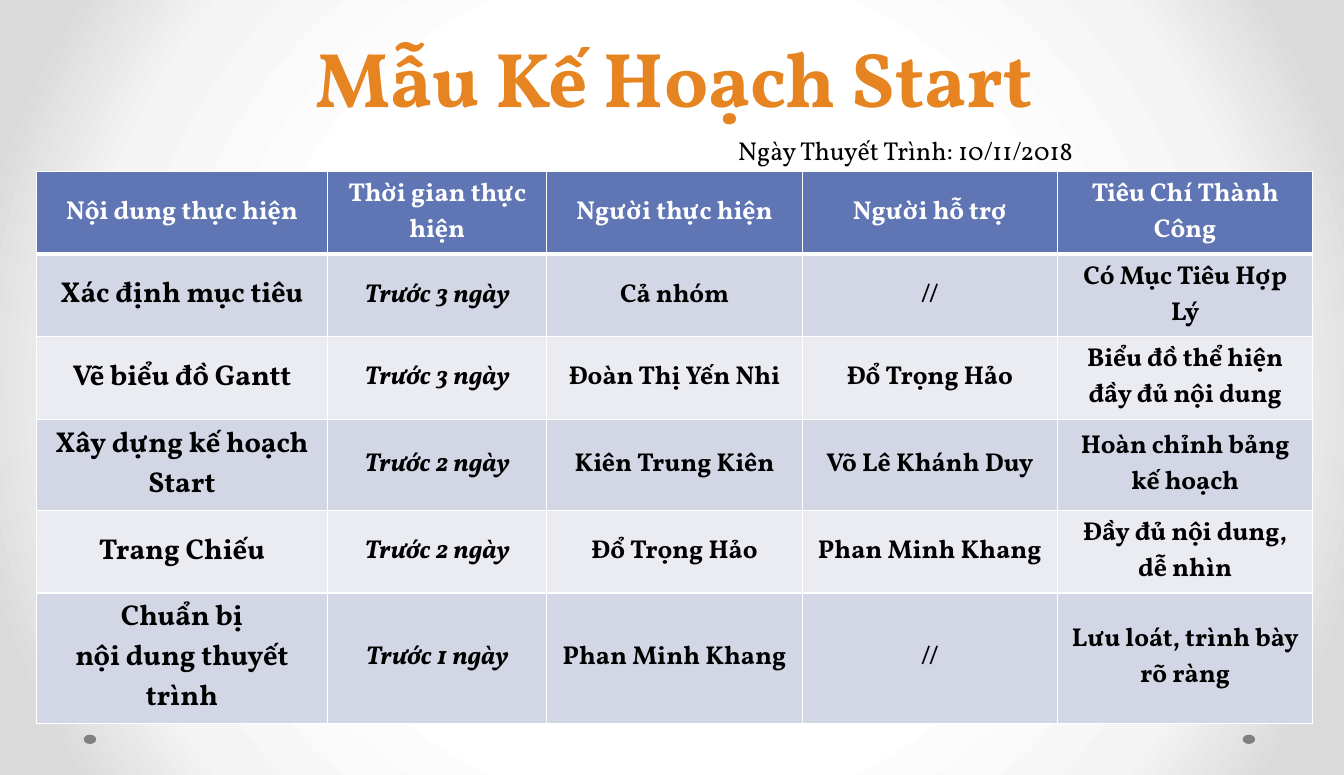
import pptx
import pptx.util
import pptx.dml.color
import pptx.enum.shapes
import pptx.enum.text
import pptx.oxml
import pptx.oxml.ns

Inches, Pt = pptx.util.Inches, pptx.util.Pt
ALIGN = pptx.enum.text.PP_ALIGN
FONT = "Vollkorn"
COLORS = {
    "white": "FFFFFF", "mist": "F4F4F4", "edge": "DADADA", "dot": "808080",
    "title": "E68422", "rim": "FEFEFE", "ink": "000000",
    "head": "6076B4", "odd": "D2D6E5", "even": "EAECF2",
}
WIDTHS = [2.82, 2.12, 2.47, 2.47, 2.47]
HEIGHTS = [0.8, 0.8, 0.8, 0.88, 0.8, 1.26]
ROWS = [
    ["Nội dung thực hiện", "Thời gian thực hiện", "Người thực hiện",
     "Người hỗ trợ", "Tiêu Chí Thành Công"],
    ["Xác định mục tiêu", "Trước 3 ngày", "Cả nhóm", "//",
     "Có Mục Tiêu Hợp Lý"],
    ["Vẽ biểu đồ Gantt", "Trước 3 ngày", "Đoàn Thị Yến Nhi",
     "Đổ Trọng Hảo", "Biểu đồ thể hiện đầy đủ nội dung"],
    ["Xây dựng kế hoạch Start", "Trước 2 ngày", "Kiên Trung Kiên",
     "Võ Lê Khánh Duy", "Hoàn chỉnh bảng kế hoạch"],
    ["Trang Chiếu", "Trước 2 ngày", "Đổ Trọng Hảo", "Phan Minh Khang",
     "Đầy đủ nội dung, dễ nhìn"],
    ["Chuẩn bị\nnội dung thuyết trình", "Trước 1 ngày", "Phan Minh Khang",
     "//", "Lưu loát, trình bày rõ ràng"],
]


def rgb(name):
    """Return the named colour."""
    return pptx.dml.color.RGBColor.from_string(COLORS[name])


def make(xml):
    """Build an element in the drawing namespace."""
    return pptx.oxml.parse_xml(xml.replace(
        ">", " " + pptx.oxml.ns.nsdecls("a") + ">", 1))


def line(tag, width, color):
    """Build a solid line element of the given width in points."""
    return make(f'<a:{tag} w="{Pt(width)}"><a:solidFill><a:srgbClr val='
                f'"{COLORS[color]}"/></a:solidFill></a:{tag}>')


def style(frame, size, color, align, bold=False, italic=False):
    """Set font and alignment on every paragraph."""
    for para in frame.paragraphs:
        para.alignment = align
        font = para.font
        font.name, font.size = FONT, Pt(size)
        font.bold, font.italic = bold, italic
        font.color.rgb = rgb(color)


def label(slide, box, text, size, color, align, bold=False, wrap=True):
    """Place a text box and return its frame."""
    shape = slide.shapes.add_textbox(*map(Inches, box))
    frame = shape.text_frame
    frame.text = text
    frame.word_wrap = wrap
    frame.auto_size = pptx.enum.text.MSO_AUTO_SIZE.SHAPE_TO_FIT_TEXT
    style(frame, size, color, align, bold)
    return frame


def backdrop(slide):
    """Fill the background with a round gradient."""
    fill = slide.background.fill
    fill.gradient()
    grad = slide.background._cSld.bg.bgPr[0]
    stops = "".join(
        f'<a:gs pos="{pos * 1000}"><a:srgbClr val="{COLORS[name]}"/></a:gs>'
        for pos, name in [(50, "white"), (76, "mist"), (92, "edge")])
    new = make(
        f'<a:gradFill rotWithShape="1"><a:gsLst>{stops}</a:gsLst>'
        '<a:path path="circle"><a:fillToRect l="50000" t="50000" r="50000" '
        'b="50000"/></a:path></a:gradFill>')
    grad.getparent().replace(grad, new)


def dots(slide, box):
    """Place a dot at each end of the box."""
    left, top, width, height = box
    size = 0.12
    for x in (left, left + width - size):
        dot = slide.shapes.add_shape(
            pptx.enum.shapes.MSO_SHAPE.OVAL,
            *map(Inches, (x, top, size, height)))
        dot.shadow.inherit = False
        dot.fill.solid()
        dot.fill.fore_color.rgb = rgb("dot")
        dot.line.fill.background()


def title(slide, box, text):
    """Place the outlined title."""
    frame = label(slide, box, text, 54, "title", ALIGN.CENTER, True, False)
    run = frame.paragraphs[0].runs[0]
    run._r.get_or_add_rPr().insert(0, line("ln", 1.5, "rim"))


def paint(cell, text, row, col):
    """Write and style one table cell."""
    head = row == 0
    cell.text = text
    cell.vertical_anchor = pptx.enum.text.MSO_ANCHOR.MIDDLE
    cell.margin_left = cell.margin_right = Inches(0.13)
    cell.margin_top = cell.margin_bottom = Inches(0.05)
    style(cell.text_frame, 20 if col == 0 and not head else 18,
          "white" if head else "ink", ALIGN.CENTER, True,
          col == 1 and not head)
    props = cell._tc.get_or_add_tcPr()
    for side in "LRTB":
        thick = (head and side == "B") or (row == 1 and side == "T")
        props.append(line("ln" + side, 3 if thick else 1, "white"))
    cell.fill.solid()
    cell.fill.fore_color.rgb = rgb(
        "head" if head else "odd" if row % 2 else "even")


def plan(slide, box):
    """Place the plan table."""
    table = slide.shapes.add_table(
        len(ROWS), len(WIDTHS), *map(Inches, box)).table
    for col, width in zip(table.columns, WIDTHS):
        col.width = Inches(width)
    for row, height in zip(table.rows, HEIGHTS):
        row.height = Inches(height)
    for r, texts in enumerate(ROWS):
        for c, text in enumerate(texts):
            paint(table.cell(r, c), text, r, c)


def main():
    """Build and save the slide."""
    deck = pptx.Presentation()
    deck.slide_width, deck.slide_height = Inches(13), Inches(7.5)
    slide = deck.slides.add_slide(deck.slide_layouts[6])
    backdrop(slide)
    dots(slide, (0.81, 7.11, 11.33, 0.09))
    title(slide, (2.92, 0.24, 7.2, 1.01), "Mẫu Kế Hoạch Start")
    plan(slide, (0.35, 1.66, sum(WIDTHS), sum(HEIGHTS)))
    label(slide, (7.04, 1.25, 5.63, 0.4),
          "Ngày Thuyết Trình: 10/11/2018", 18, "ink", ALIGN.LEFT)
    deck.save("out.pptx")


main()
